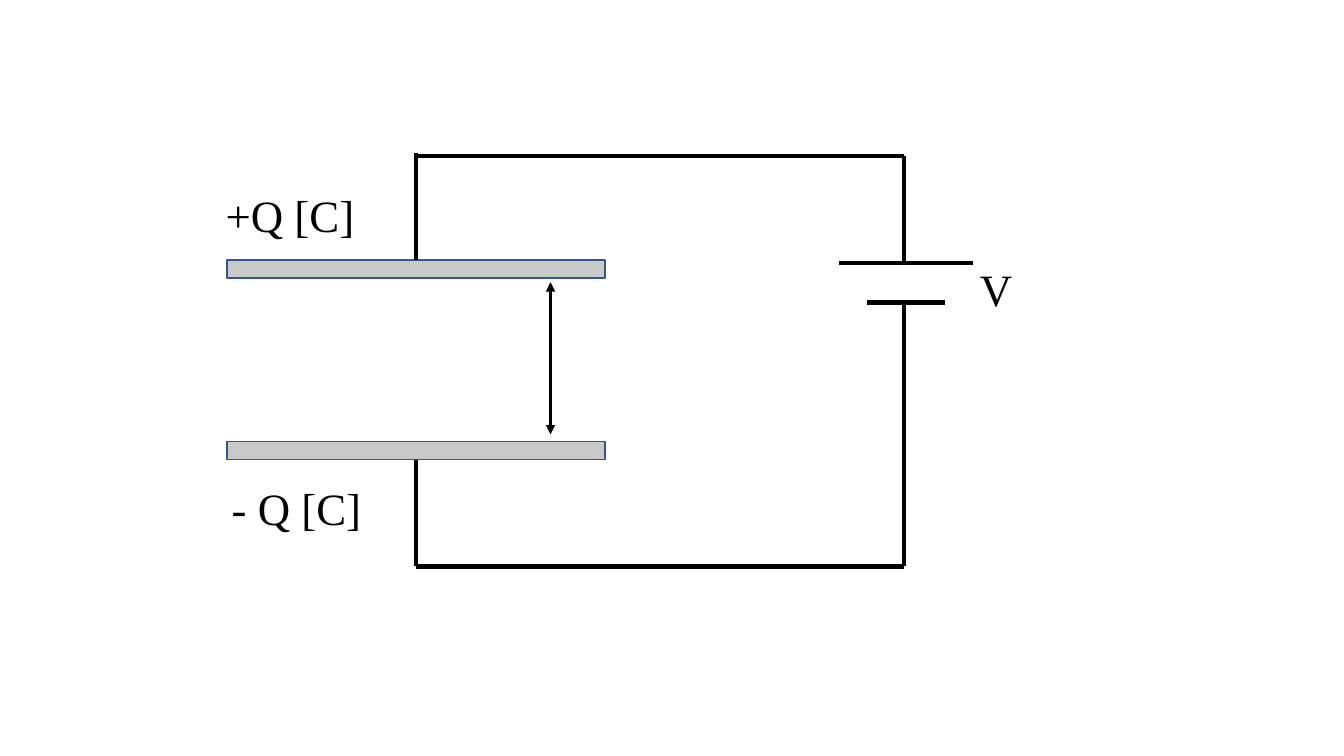
from lxml.etree import SubElement
from pptx import Presentation
from pptx.dml.color import RGBColor
from pptx.enum.shapes import MSO_CONNECTOR, MSO_SHAPE
from pptx.enum.text import MSO_AUTO_SIZE
from pptx.oxml.ns import qn
from pptx.util import Emu, Pt

SCALE = 9144
SLIDE_SIZE = (1333, 750)
BLACK, PLATE_FILL, PLATE_LINE = "000000", "C9C9C9", "325491"

LABELS = [
    ("+Q [C]", (214, 181, 149, 64), False),
    ("- Q [C]", (220, 472, 150, 64), False),
    ("V", (962, 255, 134, 64), True),
]
PLATE_LEFT, PLATE_WIDTH, PLATE_HEIGHT = 225, 375, 18
UPPER_PLATE_TOP, LOWER_PLATE_TOP = 258, 438
LEAD_TOP, CIRCUIT_TOP, CIRCUIT_BOTTOM = 152, 155, 562
CELL_X, CELL_TOP, CELL_BOTTOM = 897, 261, 300
LEAD_X = PLATE_LEFT + PLATE_WIDTH / 2

WIRES = [
    (LEAD_X, CIRCUIT_TOP, CELL_X, CIRCUIT_TOP),
    (LEAD_X, CIRCUIT_BOTTOM, CELL_X, CIRCUIT_BOTTOM),
    (CELL_X, CELL_TOP, CELL_X, CIRCUIT_TOP),
    (832, CELL_TOP, 965, CELL_TOP),
    (860, CELL_BOTTOM, 937, CELL_BOTTOM),
    (CELL_X, CIRCUIT_BOTTOM, CELL_X, CELL_BOTTOM),
]
GAP_ARROW = (546, 280, 546, 431)


def px(length):
    """Turn px into EMU."""
    return Emu(round(length * SCALE))


def color(hex_string):
    """Turn a hex string into a colour."""
    return RGBColor.from_string(hex_string)


def add_label(slide, text, box, wrap=False, size=32, font="Times New Roman", fill=BLACK):
    """Add a text label."""
    frame = slide.shapes.add_textbox(*map(px, box)).text_frame
    frame.word_wrap = wrap
    frame.auto_size = MSO_AUTO_SIZE.SHAPE_TO_FIT_TEXT
    run = frame.paragraphs[0].add_run()
    run.text = text
    run.font.name, run.font.size = font, Pt(size)
    run.font.color.rgb = color(fill)


def add_plate(slide, top):
    """Add one capacitor plate."""
    box = (PLATE_LEFT, top, PLATE_WIDTH, PLATE_HEIGHT)
    plate = slide.shapes.add_shape(MSO_SHAPE.RECTANGLE, *map(px, box))
    plate.shadow.inherit = False
    plate.fill.solid()
    plate.fill.fore_color.rgb = color(PLATE_FILL)
    plate.line.color.rgb = color(PLATE_LINE)
    plate.line.width = Pt(1)
    return plate


def add_wire(slide, ends, width=3, arrows=False):
    """Add a straight line, with arrowheads at both ends if asked."""
    wire = slide.shapes.add_connector(MSO_CONNECTOR.STRAIGHT, *map(px, ends))
    wire.line.color.rgb = color(BLACK)
    wire.line.width = Pt(width)
    if arrows:
        for end in ("a:headEnd", "a:tailEnd"):
            SubElement(wire.line._get_or_add_ln(), qn(end), type="triangle")
    SubElement(wire._element.spPr, qn("a:effectLst"))
    return wire


def main():
    """Build the capacitor circuit slide."""
    deck = Presentation()
    deck.slide_width, deck.slide_height = map(px, SLIDE_SIZE)
    slide = deck.slides.add_slide(deck.slide_layouts[6])
    for text, box, wrap in LABELS:
        add_label(slide, text, box, wrap=wrap)
    upper_plate = add_plate(slide, UPPER_PLATE_TOP)
    lower_plate = add_plate(slide, LOWER_PLATE_TOP)
    upper_lead = add_wire(slide, (LEAD_X, UPPER_PLATE_TOP, LEAD_X, LEAD_TOP))
    upper_lead.begin_connect(upper_plate, 0)
    lower_plate_bottom = LOWER_PLATE_TOP + PLATE_HEIGHT
    lower_lead = add_wire(slide, (LEAD_X, CIRCUIT_BOTTOM, LEAD_X, lower_plate_bottom))
    lower_lead.end_connect(lower_plate, 2)
    for ends in WIRES:
        add_wire(slide, ends)
    add_wire(slide, GAP_ARROW, width=2.25, arrows=True)
    deck.save("out.pptx")


if __name__ == "__main__":
    main()
